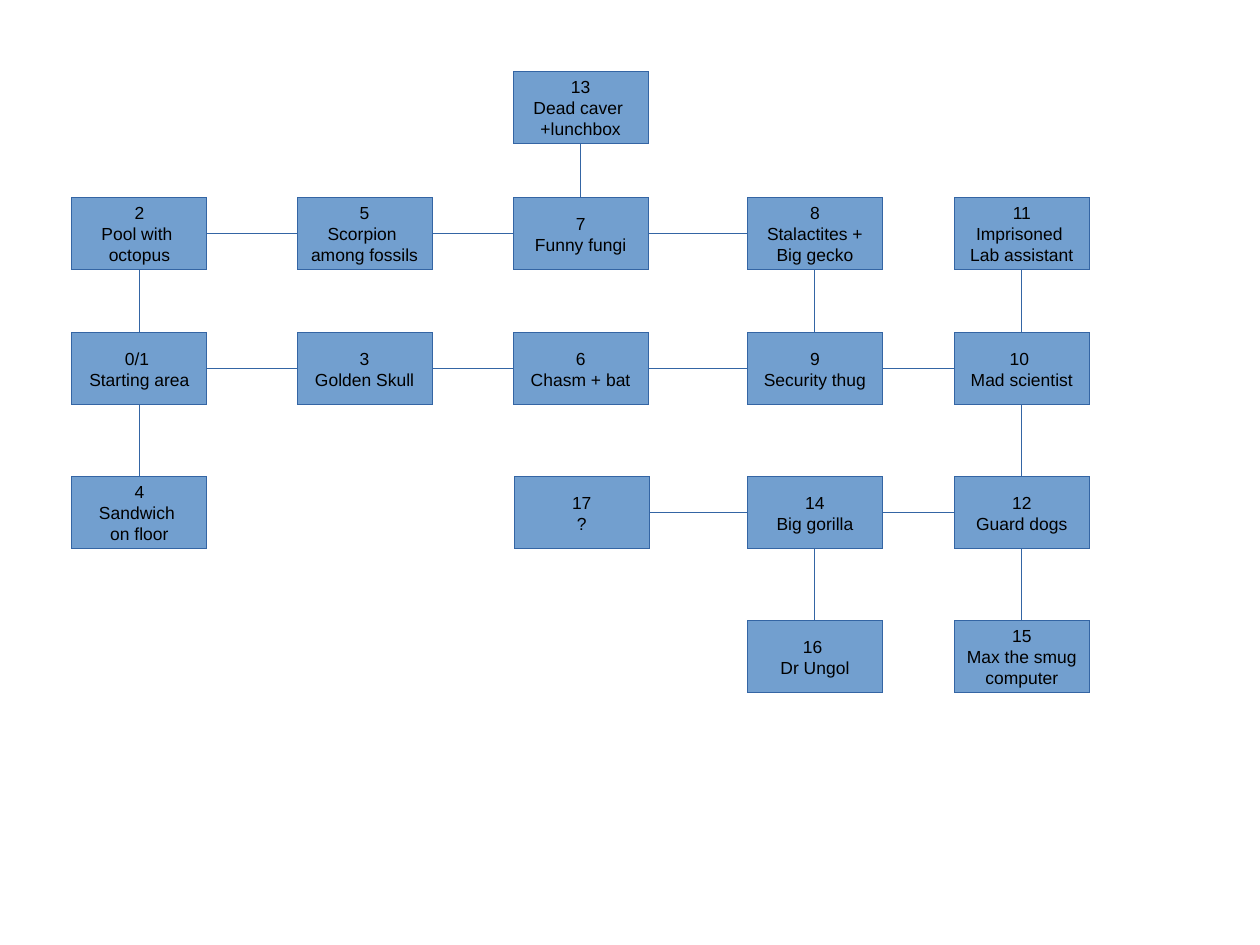
from lxml import etree
from pptx import Presentation
from pptx import util as u
from pptx.dml import color
from pptx.enum import shapes, text
from pptx.oxml import ns

CM_PER_INCH = 2.54
BOX_WIDTH, BOX_HEIGHT = 1.18, 0.63
COLUMNS = [0.63, 2.6, 4.49, 6.54, 8.35]
ROWS = [0.63, 1.73, 2.91, 4.17, 5.43]
TOP, LEFT, BOTTOM, RIGHT = range(4)


def rgb(value):
    return color.RGBColor.from_string(value)


def draw_hairline(item):
    item.line.color.rgb = rgb("3465A4")
    item._element.spPr.find(ns.qn("a:ln")).set("w", "0")


rooms = [
    (0, 2, ["0/1 ", "Starting area"]),
    (0, 1, ["2", "Pool with ", "octopus"]),
    (1, 2, ["3", "Golden Skull"]),
    (0, 3, ["4", "Sandwich ", "on floor"]),
    (1, 1, ["5", "Scorpion ", "among fossils"]),
    (2, 2, ["6", "Chasm + bat"]),
    (2, 1, ["7", "Funny fungi"]),
    (2, 0, ["13", "Dead caver ", "+lunchbox"]),
    (3, 1, ["8", "Stalactites +", "Big gecko"]),
    (3, 2, ["9", "Security thug"]),
    (4, 2, ["10 ", "Mad scientist"]),
    (4, 1, ["11", "Imprisoned ", "Lab assistant"]),
    (4, 3, ["12", "Guard dogs"]),
    (3, 3, ["14", "Big gorilla"]),
    (4, 4, ["15", "Max the smug", "computer"]),
    (2, 3, ["17", "?"]),
    (3, 4, ["16 ", "Dr Ungol"]),
]
across = [
    ("2", "5"), ("5", "7"), ("7", "8"),
    ("0/1", "3"), ("3", "6"), ("6", "9"), ("9", "10"),
    ("17", "14"), ("14", "12"),
]
down = [
    ("13", "7"), ("2", "0/1"), ("8", "9"), ("11", "10"),
    ("0/1", "4"), ("10", "12"), ("14", "16"), ("12", "15"),
]

presentation = Presentation()
presentation.slide_width = u.Inches(28 / CM_PER_INCH)
presentation.slide_height = u.Inches(21 / CM_PER_INCH)
slide = presentation.slides.add_slide(presentation.slide_layouts[6])

boxes = {}
for column, row, lines in rooms:
    number = lines[0].strip()
    left = 4.5 if number == "17" else COLUMNS[column]
    shape = slide.shapes.add_shape(
        shapes.MSO_SHAPE.RECTANGLE,
        u.Inches(left), u.Inches(ROWS[row]),
        u.Inches(BOX_WIDTH), u.Inches(BOX_HEIGHT),
    )
    shape.shadow.inherit = False
    shape.fill.solid()
    shape.fill.fore_color.rgb = rgb("729FCF")
    draw_hairline(shape)
    frame = shape.text_frame
    frame.word_wrap = False
    frame.vertical_anchor = text.MSO_ANCHOR.MIDDLE
    for index, line in enumerate(lines):
        paragraph = frame.add_paragraph() if index else frame.paragraphs[0]
        paragraph.alignment = text.PP_ALIGN.CENTER
        run = paragraph.add_run()
        run.text = line
        run.font.name = "Arial"
        run.font.size = u.Pt(11)
        run.font.color.rgb = rgb("000000")
    boxes[number] = shape

for passages, exit_side, entry_side in [(across, RIGHT, LEFT), (down, BOTTOM, TOP)]:
    for start, end in passages:
        connector = slide.shapes.add_connector(shapes.MSO_CONNECTOR.ELBOW, 0, 0, 0, 0)
        connector.begin_connect(boxes[start], exit_side)
        connector.end_connect(boxes[end], entry_side)
        draw_hairline(connector)
        etree.SubElement(connector._element.spPr, ns.qn("a:effectLst"))

presentation.save("out.pptx")
